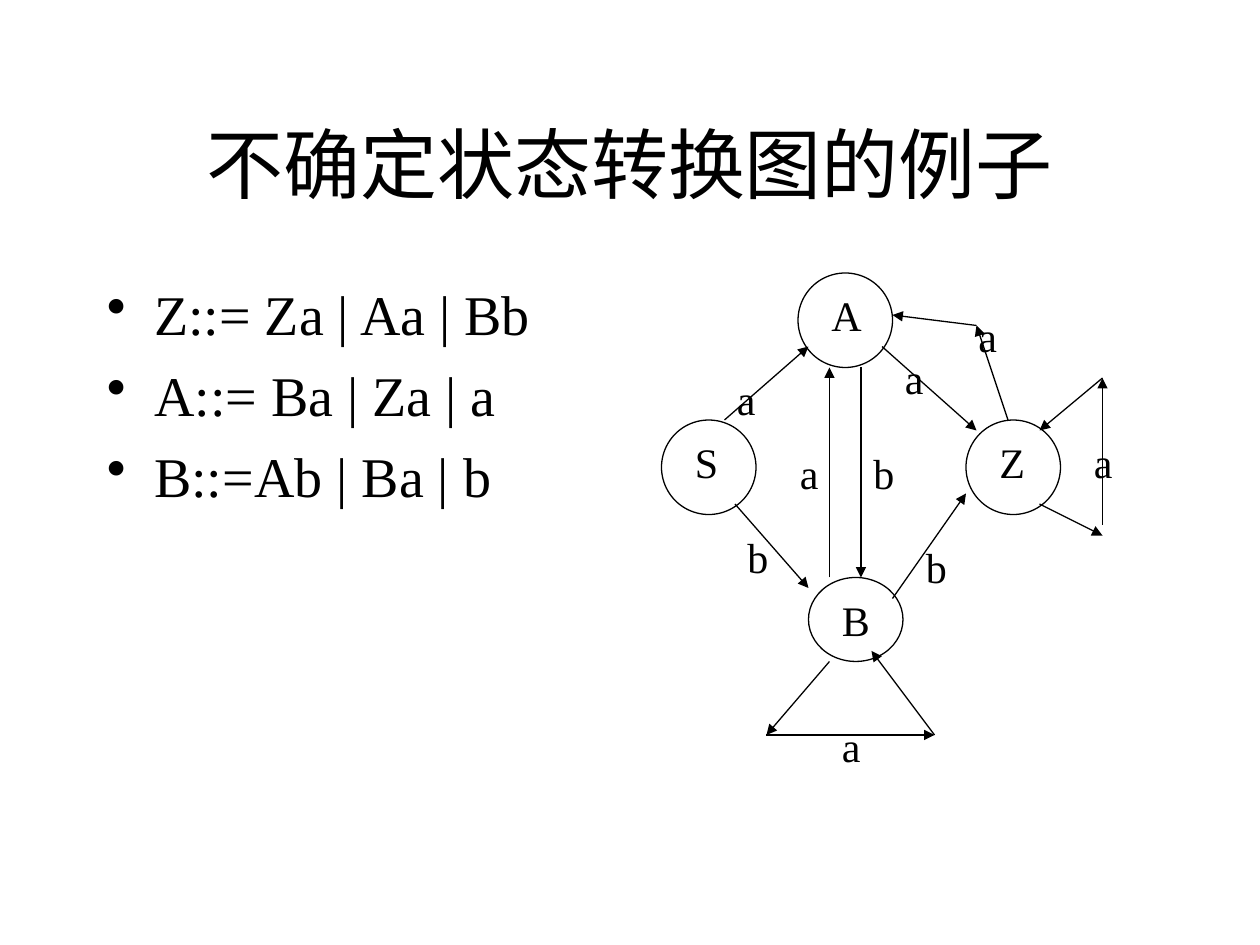
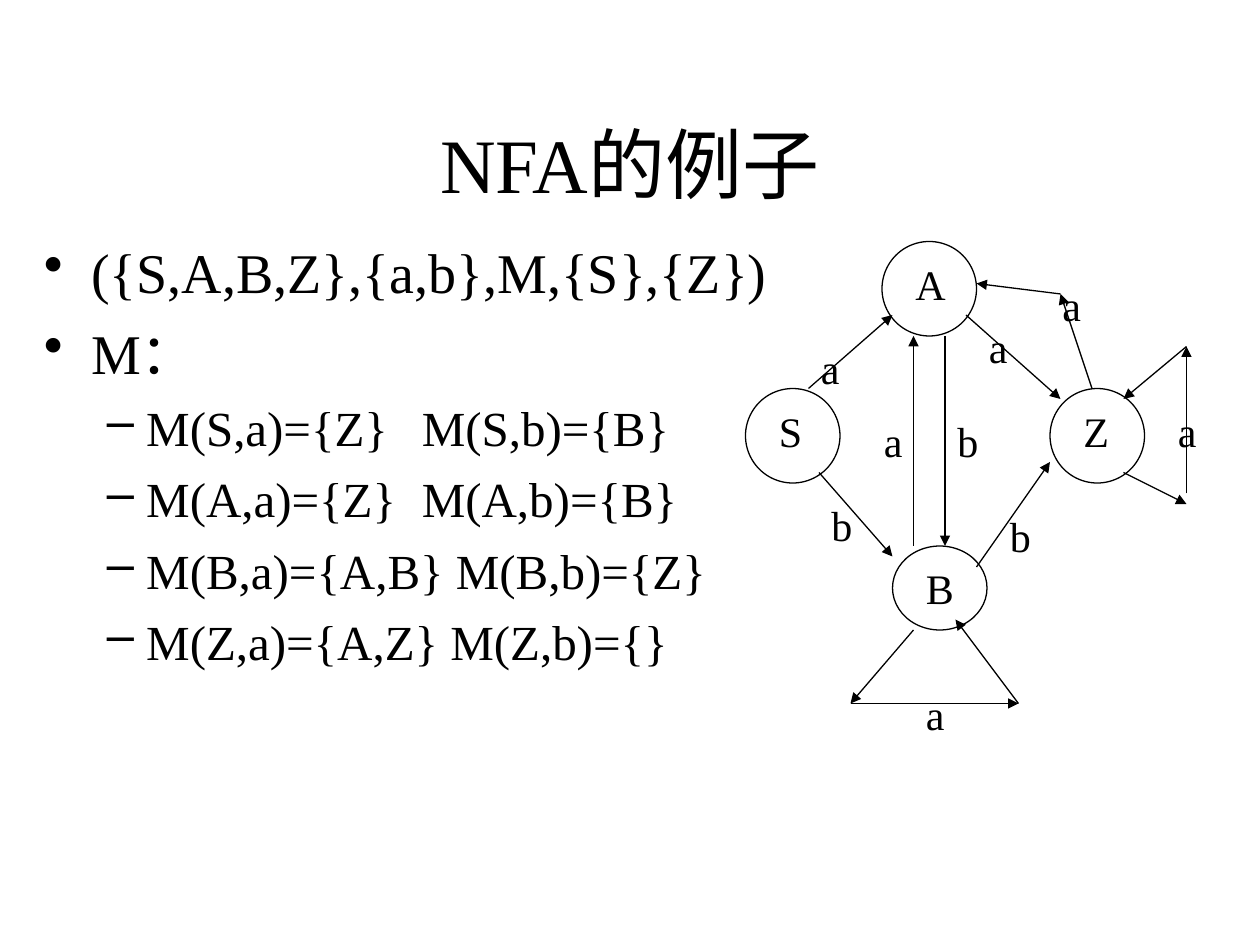
from lxml import etree
from pptx import Presentation
from pptx.dml.color import RGBColor
from pptx.enum import shapes, text
from pptx.oxml import ns
from pptx.util import Pt

INK = RGBColor(0x00, 0x00, 0x00)
PAPER = RGBColor(0xFF, 0xFF, 0xFF)
FONT = "Times New Roman"
STEP = 6  # diagram grid, in points

# Per outline level: bullet, size, left margin, hanging indent, space before
LEVELS = [("•", 32, 27, 27, 8), ("–", 28, 58.5, 22.5, 7)]
TAB_STOP = 216

# Diagram in grid steps: state -> left, top, width, height
STATES = {"A": (13, 0, 9, 9), "B": (14, 29, 9, 8),
          "S": (0, 14, 9, 9), "Z": (29, 14, 9, 9)}
# Each chain of arrows runs through its points
CHAINS = [
    [(16, 29), (16, 9)],                      # B to A
    [(19, 9), (19, 29)],                      # A to B
    [(6, 14), (14, 7)],                       # S to A
    [(7, 22), (14, 30)],                      # S to B
    [(21, 7), (30, 15)],                      # A to Z
    [(22, 31), (29, 21)],                     # B to Z
    [(36, 22), (42, 25)],                     # Z to Z
    [(42, 24), (42, 10), (36, 15)],
    [(33, 14), (30, 5), (22, 4)],             # Z to A
    [(16, 37), (10, 44), (26, 44), (20, 36)], # B to B
]
INPUTS = [("a", 6, 9), ("b", 7, 24), ("a", 12, 16), ("b", 19, 16), ("a", 22, 7),
          ("b", 24, 25), ("a", 40, 15), ("a", 29, 3), ("a", 16, 42)]


def add_xml(parent, tag, **attributes):
    return etree.SubElement(parent, ns.qn(tag), attributes)


class Deck:
    def __init__(self):
        self.prs = Presentation()
        self.prs.slide_width, self.prs.slide_height = Pt(720), Pt(540)
        self.slide = None

    def new_slide(self, title):
        self.slide = self.prs.slides.add_slide(self.prs.slide_layouts[6])
        self.slide.background.fill.solid()
        self.slide.background.fill.fore_color.rgb = PAPER
        frame = self.text_frame(self.slide.shapes, 54, 48, 612, 90)
        frame.vertical_anchor = text.MSO_ANCHOR.MIDDLE
        heading = frame.paragraphs[0]
        heading.alignment = text.PP_ALIGN.CENTER
        self.set_words(heading, title, 44)

    def text_frame(self, parent, left, top, width, height):
        box = parent.add_textbox(Pt(left), Pt(top), Pt(width), Pt(height))
        box.text_frame.word_wrap = True
        return box.text_frame

    def set_words(self, paragraph, words, size):
        paragraph.text = words
        paragraph.font.name = FONT
        paragraph.font.size = Pt(size)
        paragraph.font.color.rgb = INK

    def outline(self, items, left, top, width, height):
        frame = self.text_frame(self.slide.shapes, left, top, width, height)
        for index, (level, words) in enumerate(items):
            bullet, size, margin, hanging, gap = LEVELS[level]
            item = frame.add_paragraph() if index else frame.paragraphs[0]
            item.level = level
            if index:
                item.space_before = Pt(gap)
            props = item._p.get_or_add_pPr()
            props.set("marL", str(Pt(margin)))
            props.set("indent", str(-Pt(hanging)))
            add_xml(props, "a:buChar", char=bullet)
            if "\t" in words:
                tabs = add_xml(props, "a:tabLst")
                add_xml(tabs, "a:tab", pos=str(Pt(TAB_STOP)), algn="l")
            self.set_words(item, words, size)

    def state(self, group, left, top, width, height):
        circle = group.add_shape(shapes.MSO_SHAPE.OVAL,
                                 Pt(left), Pt(top), Pt(width), Pt(height))
        circle.shadow.inherit = False
        circle.fill.background()
        circle.line.color.rgb = INK
        circle.line.width = Pt(0.75)

    def arrow(self, group, start, end):
        edge = group.add_connector(shapes.MSO_CONNECTOR.STRAIGHT,
                                   *(Pt(v) for v in (*start, *end)))
        edge.line.color.rgb = INK
        edge.line.width = Pt(0.75)
        add_xml(edge.line._get_or_add_ln(), "a:tailEnd", type="triangle")
        add_xml(edge._element.spPr, "a:effectLst")

    def label(self, group, words, left, top):
        frame = self.text_frame(group, left, top, 36, 36)
        self.set_words(frame.paragraphs[0], words, 24)

    def transition_diagram(self, left, top):
        group = self.slide.shapes.add_group_shape().shapes

        def place(point):
            return left + point[0] * STEP, top + point[1] * STEP

        for x, y, width, height in STATES.values():
            self.state(group, *place((x, y)), width * STEP, height * STEP)
        for name, (x, y, _, _) in STATES.items():
            self.label(group, name, *place((x + 2, y + 1)))
        for chain in CHAINS:
            for start, end in zip(chain, chain[1:]):
                self.arrow(group, place(start), place(end))
        for symbol, x, y in INPUTS:
            self.label(group, symbol, *place((x, y)))


def main():
    deck = Deck()

    # Grammar and its state diagram
    deck.new_slide("不确定状态转换图的例子")
    deck.outline([(0, "Z::= Za | Aa | Bb"),
                  (0, "A::= Ba | Za | a"),
                  (0, "B::=Ab | Ba | b")], 54, 156, 264, 324)
    deck.transition_diagram(378, 156)

    # The same automaton as a five-tuple
    deck.new_slide("NFA的例子")
    deck.outline([(0, "({S,A,B,Z},{a,b},M,{S},{Z})"),
                  (0, "M："),
                  (1, "M(S,a)={Z}\tM(S,b)={B}"),
                  (1, "M(A,a)={Z}\tM(A,b)={B}"),
                  (1, "M(B,a)={A,B} M(B,b)={Z}"),
                  (1, "M(Z,a)={A,Z} M(Z,b)={}")], 18, 132, 438, 324)
    deck.transition_diagram(426, 138)

    deck.prs.save("out.pptx")


if __name__ == "__main__":
    main()
